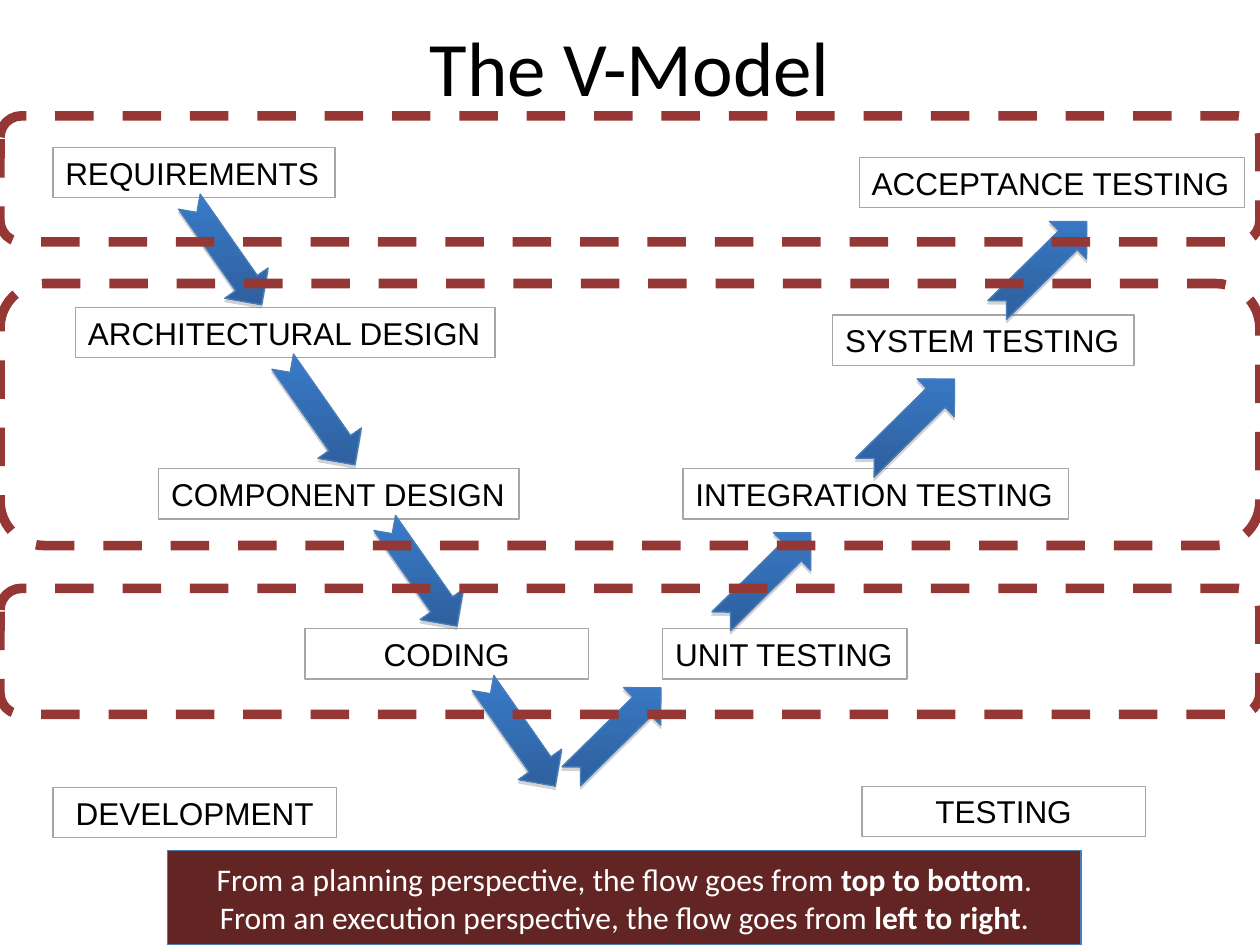
from lxml.etree import SubElement
from pptx import Presentation
from pptx.dml.color import RGBColor
from pptx.enum.dml import MSO_LINE
from pptx.enum.shapes import MSO_SHAPE
from pptx.enum.text import MSO_ANCHOR, MSO_AUTO_SIZE, PP_ALIGN
from pptx.oxml.ns import qn
from pptx.util import Inches, Pt

COLUMNS, ROWS = 10, 7.5
COLORS = {
    "text": "000000",
    "light": "FFFFFF",
    "frame": "A6A6A6",
    "band": "953735",
    "banner": "632523",
    "edge": "4A7EBB",
    "arrow_top": "3A7CCB",
    "arrow_bottom": "2C5D98",
    "shadow": "808080",
}
LABEL_HEIGHT = 0.4
LABEL_FONT = {"name": "Arial", "size": Pt(18)}
TITLE_FONT = {"name": "Calibri", "size": Pt(44)}
BANNER_FONT = {"name": "Calibri", "size": Pt(18)}
THIN_LINE = {"width": Pt(0.75)}
DASHED_LINE = {"width": Pt(5.5), "dash_style": MSO_LINE.DASH}
FITTED = {"word_wrap": False, "auto_size": MSO_AUTO_SIZE.SHAPE_TO_FIT_TEXT}
FIXED = {"word_wrap": False, "auto_size": MSO_AUTO_SIZE.NONE}
MIDDLE = {"word_wrap": True, "vertical_anchor": MSO_ANCHOR.MIDDLE}

FITTED_LABELS = [
    ("REQUIREMENTS", 0.42, 1.17, 2.24),
    ("ARCHITECTURAL DESIGN", 0.6, 2.44, 3.33),
    ("COMPONENT DESIGN", 1.26, 3.72, 2.86),
    ("UNIT TESTING", 5.26, 4.99, 1.94),
    ("INTEGRATION TESTING", 5.42, 3.72, 3.06),
    ("SYSTEM TESTING", 6.61, 2.5, 2.39),
    ("ACCEPTANCE TESTING", 6.82, 1.25, 3.06),
]
CENTERED_LABELS = [
    ("CODING", 2.42, 4.99, 2.25),
    ("DEVELOPMENT", 0.42, 6.25, 2.25),
    ("TESTING", 6.84, 6.24, 2.25),
]
DOWN_ARROWS = [(1.29, 1.8), (2.03, 3.07), (2.84, 4.35), (3.62, 5.62)]
UP_ARROWS = [(4.39, 5.6), (5.58, 4.37), (6.72, 3.15), (7.77, 1.9)]
BANDS = [(0.92, 1), (2.25, 2.08), (4.67, 1)]
BANNER_LINES = [
    ("From a planning perspective, the flow goes from ", "top to bottom"),
    ("From an execution perspective, the flow goes from ", "left to right"),
]


def color(name):
    return RGBColor.from_string(COLORS[name])


def apply_format(target, values):
    for name, value in values.items():
        setattr(target, name, value)


def place(presentation, left, top, width, height):
    column = presentation.slide_width / COLUMNS
    row = presentation.slide_height / ROWS
    return [round(length) for length in
            (left * column, top * row, width * column, height * row)]


def set_line(shape, name, values):
    shape.line.color.rgb = color(name)
    apply_format(shape.line, values)


def add_run(paragraph, text, font, color_name, bold=False):
    run = paragraph.add_run()
    run.text = text
    apply_format(run.font, {**font, "bold": bold})
    run.font.color.rgb = color(color_name)


def add_shadow(shape):
    shape.shadow.inherit = False
    effects = shape._element.spPr.find(qn("a:effectLst"))
    shadow = SubElement(effects, qn("a:outerShdw"), blurRad="0",
                        dist=str(Pt(1.8)), dir="5400000", rotWithShape="0")
    shade = SubElement(shadow, qn("a:srgbClr"), val=COLORS["shadow"])
    SubElement(shade, qn("a:alpha"), val="35000")


def add_text(slide, box, text, font, frame_format, alignment):
    shape = slide.shapes.add_textbox(*box)
    apply_format(shape.text_frame, frame_format)
    paragraph = shape.text_frame.paragraphs[0]
    paragraph.alignment = alignment
    add_run(paragraph, text, font, "text")
    return shape


def add_labels(presentation, slide, labels, frame_format, alignment):
    for text, left, top, width in labels:
        box = place(presentation, left, top, width, LABEL_HEIGHT)
        shape = add_text(slide, box, text, LABEL_FONT, frame_format, alignment)
        set_line(shape, "frame", THIN_LINE)


def add_arrow(slide, box, rotation):
    shape = slide.shapes.add_shape(MSO_SHAPE.NOTCHED_RIGHT_ARROW, *box)
    shape.rotation = rotation
    shape.fill.gradient()
    shape.fill.gradient_angle = (rotation - 90) % 360
    stops = zip(shape.fill.gradient_stops, ("arrow_top", "arrow_bottom"), (0, 1))
    for stop, name, position in stops:
        stop.color.rgb = color(name)
        stop.position = position
    set_line(shape, "edge", THIN_LINE)
    add_shadow(shape)


def add_banner(slide, box):
    shape = slide.shapes.add_shape(MSO_SHAPE.RECTANGLE, *box)
    shape.fill.solid()
    shape.fill.fore_color.rgb = color("banner")
    set_line(shape, "edge", THIN_LINE)
    add_shadow(shape)
    frame = shape.text_frame
    apply_format(frame, MIDDLE)
    for index, (lead, emphasis) in enumerate(BANNER_LINES):
        paragraph = frame.add_paragraph() if index else frame.paragraphs[0]
        paragraph.alignment = PP_ALIGN.CENTER
        for text, bold in ((lead, False), (emphasis, True), (".", False)):
            add_run(paragraph, text, BANNER_FONT, "light", bold)


def add_band(slide, box):
    shape = slide.shapes.add_shape(MSO_SHAPE.ROUNDED_RECTANGLE, *box)
    shape.adjustments[0] = 0.17
    shape.fill.background()
    shape.shadow.inherit = False
    set_line(shape, "band", DASHED_LINE)


def main():
    presentation = Presentation()
    apply_format(presentation, {"slide_width": Inches(COLUMNS),
                                "slide_height": Inches(ROWS)})
    slide = presentation.slides.add_slide(presentation.slide_layouts[6])
    add_text(slide, place(presentation, 0.5, 0.17, 9, 0.7), "The V-Model",
             TITLE_FONT, MIDDLE, PP_ALIGN.CENTER)
    add_labels(presentation, slide, FITTED_LABELS, FITTED, PP_ALIGN.LEFT)
    add_labels(presentation, slide, CENTERED_LABELS, FIXED, PP_ALIGN.CENTER)
    for positions, rotation in ((DOWN_ARROWS, 55), (UP_ARROWS, 315.4)):
        for left, top in positions:
            add_arrow(slide, place(presentation, left, top, 1, 0.42), rotation)
    add_banner(slide, place(presentation, 1.33, 6.75, 7.25, 0.75))
    for top, height in BANDS:
        add_band(slide, place(presentation, 0, top, COLUMNS, height))
    presentation.save("out.pptx")


if __name__ == "__main__":
    main()
